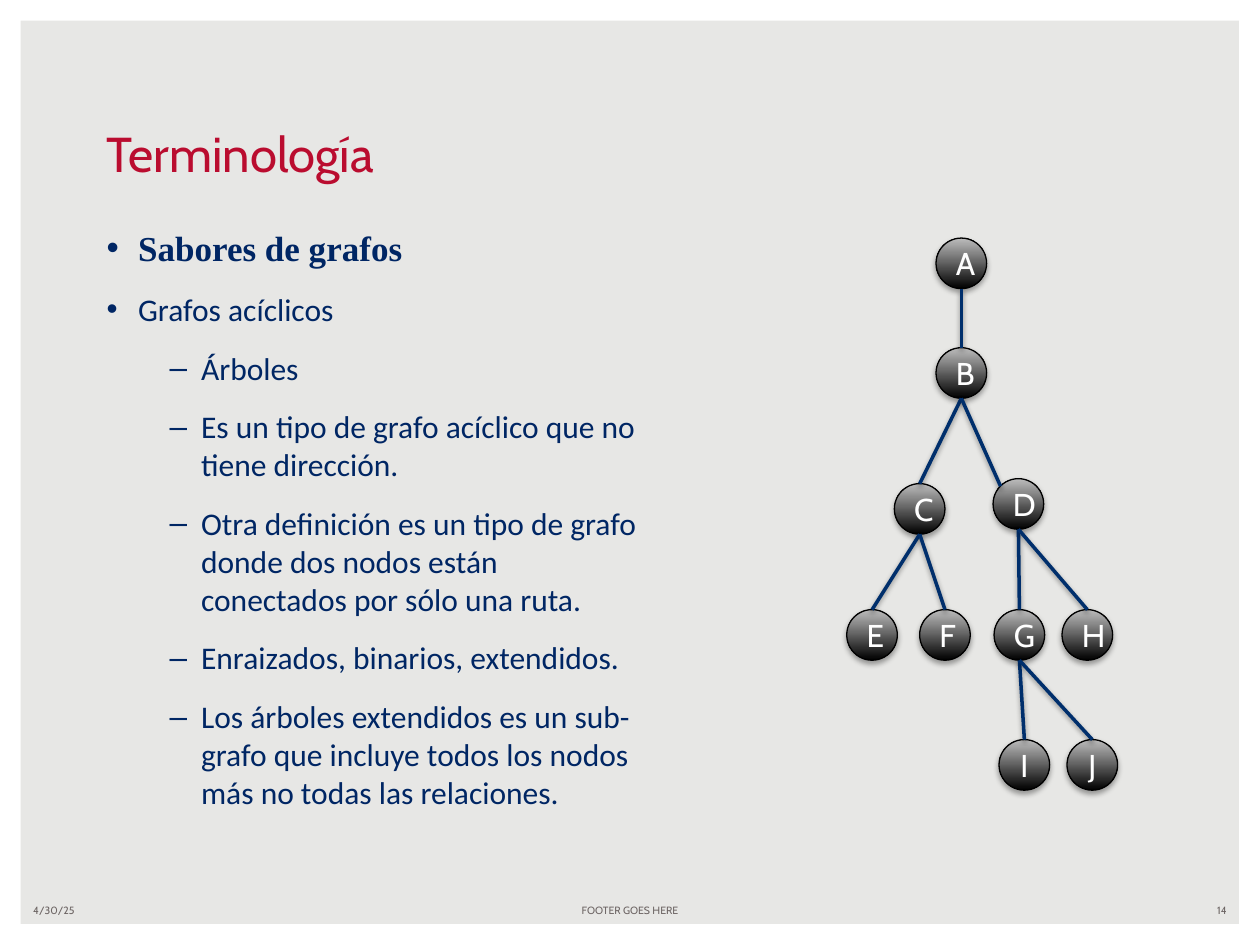
from lxml.etree import SubElement
from pptx import Presentation
from pptx.dml.color import RGBColor
from pptx.enum.shapes import MSO_CONNECTOR as Connector, MSO_SHAPE as Shape
from pptx.enum.text import MSO_ANCHOR as Anchor, PP_ALIGN as Align
from pptx.oxml.ns import qn
from pptx.util import Cm, Pt


def color(hex_code):
    return RGBColor.from_string(hex_code)


def add_shadow(shape, opacity, distance):
    """Soft black shadow falling straight down."""
    effects = SubElement(shape._element.spPr, qn("a:effectLst"))
    outer = SubElement(effects, qn("a:outerShdw"), blurRad=str(Pt(3.1)),
                       dist=str(Pt(distance)), dir="5400000", rotWithShape="0")
    black = SubElement(outer, qn("a:srgbClr"), val="000000")
    SubElement(black, qn("a:alpha"), val=str(opacity * 1000))


class TreeSlide:
    FONT = "Cabin"
    RED, NAVY, BLUE, GREY = "BA0C2F", "002664", "002F6C", "6C6463"
    NODE = 1.02  # node diameter in cm

    def __init__(self, slide):
        self.slide = slide
        self.shapes = slide.shapes

    def background(self, hex_code):
        fill = self.slide.background.fill
        fill.solid()
        fill.fore_color.rgb = color(hex_code)

    def frame(self, width, height):
        border = self.shapes.add_shape(Shape.FRAME, 0, 0, width, height)
        border.adjustments[0] = 0.022
        border.shadow.inherit = False
        border.fill.solid()
        border.fill.fore_color.rgb = color("FFFFFF")
        border.line.fill.background()

    def run(self, paragraph, wording, size, hex_code, font=FONT, bold=False):
        run = paragraph.add_run()
        run.text = wording
        run.font.size = Pt(size)
        run.font.name = font
        run.font.bold = bold
        run.font.color.rgb = color(hex_code)

    def box(self, left, top, width, height, anchor):
        frame = self.shapes.add_textbox(
            Cm(left), Cm(top), Cm(width), Cm(height)).text_frame
        frame.word_wrap = True
        frame.vertical_anchor = anchor
        return frame

    def label(self, wording, place, size, hex_code,
              align=Align.LEFT, anchor=Anchor.MIDDLE):
        paragraph = self.box(*place, anchor).paragraphs[0]
        paragraph.alignment = align
        self.run(paragraph, wording, size, hex_code)

    def bullets(self, items, place):
        frame = self.box(*place, Anchor.TOP)
        for index, (level, wording, size, font, bold) in enumerate(items):
            paragraph = frame.add_paragraph() if index else frame.paragraphs[0]
            paragraph.level = level
            paragraph.space_after = Pt(12)
            properties = paragraph._p.get_or_add_pPr()
            properties.set("marL", str(Pt(54 if level else 18)))
            properties.set("indent", str(-Pt(18)))
            SubElement(properties, qn("a:buFont"), typeface="Arial")
            SubElement(properties, qn("a:buChar"), char="–" if level else "•")
            self.run(paragraph, wording, size, self.NAVY, font, bold)

    def node(self, letter, left, top):
        circle = self.shapes.add_shape(
            Shape.OVAL, Cm(left), Cm(top), Cm(self.NODE), Cm(self.NODE))
        circle.fill.gradient()
        circle.fill.gradient_angle = 90
        for stop, shade in zip(circle.fill.gradient_stops, ("000000", "BDBDBD")):
            stop.color.rgb = color(shade)
        circle.line.color.rgb = color("000000")
        circle.line.width = Pt(0.75)
        add_shadow(circle, 35, 1.8)
        paragraph = circle.text_frame.paragraphs[0]
        paragraph.alignment = Align.CENTER
        self.run(paragraph, letter, 18, "FFFFFF")

    def edge(self, start, end):
        line = self.shapes.add_connector(
            Connector.STRAIGHT, *(Cm(value) for value in (*start, *end)))
        line.line.color.rgb = color(self.BLUE)
        line.line.width = Pt(2)
        add_shadow(line, 38, 1.6)


SABORES = [
    (0, "Sabores de grafos", 20, "Times New Roman", True),
    (0, "Grafos acíclicos", 18, "Calibri", False),
] + [(1, wording, 18, "Calibri", False) for wording in (
    "Árboles",
    "Es un tipo de grafo acíclico que no tiene dirección.",
    "Otra definición es un tipo de grafo donde dos nodos están "
    "conectados por sólo una ruta.",
    "Enraizados, binarios, extendidos.",
    "Los árboles extendidos es un sub-grafo que incluye todos los nodos "
    "más no todas las relaciones.",
)]

# Left and top of each node, in cm
NODES = {
    "A": (18.87, 4.8), "B": (18.87, 7.01),
    "C": (18.03, 9.75), "D": (20.02, 9.65),
    "E": (17.07, 12.29), "F": (18.54, 12.29),
    "G": (20.04, 12.29), "H": (21.41, 12.29),
    "I": (20.14, 14.91), "J": (21.51, 14.91),
}
CHILDREN = {"A": "B", "B": "CD", "C": "EF", "D": "GH", "G": "IJ"}


def main():
    deck = Presentation()
    deck.slide_width, deck.slide_height = Cm(25.4), Cm(19.05)
    page = TreeSlide(deck.slides.add_slide(deck.slide_layouts[6]))

    # Backdrop
    page.background("E7E7E5")
    page.frame(deck.slide_width, deck.slide_height)

    # Title and list
    page.bullets(SABORES, (1.9, 4.45, 11.23, 12.7))
    page.label("Terminología", (1.9, 2.36, 21.6, 1.45), 28, page.RED,
               anchor=Anchor.BOTTOM)

    # Footer
    for wording, left, width, align in (
            ("4/30/25", 0.42, 5.93, Align.LEFT),
            ("FOOTER GOES HERE", 8.68, 8.04, Align.CENTER),
            ("14", 19.05, 5.93, Align.RIGHT)):
        page.label(wording, (left, 18.1, width, 0.5), 6, page.GREY, align)

    # Tree: nodes, then an edge from each parent's bottom to its child's top
    for letter, place in NODES.items():
        page.node(letter, *place)
    radius = page.NODE / 2
    for parent, children in CHILDREN.items():
        left, top = NODES[parent]
        start = left + radius, top + page.NODE
        for child in children:
            left, top = NODES[child]
            end = left + radius, top
            if child == "D":  # met on its upper left side
                end = left + 0.15, top + 0.15
            page.edge(start, end)

    deck.save("out.pptx")


if __name__ == "__main__":
    main()
